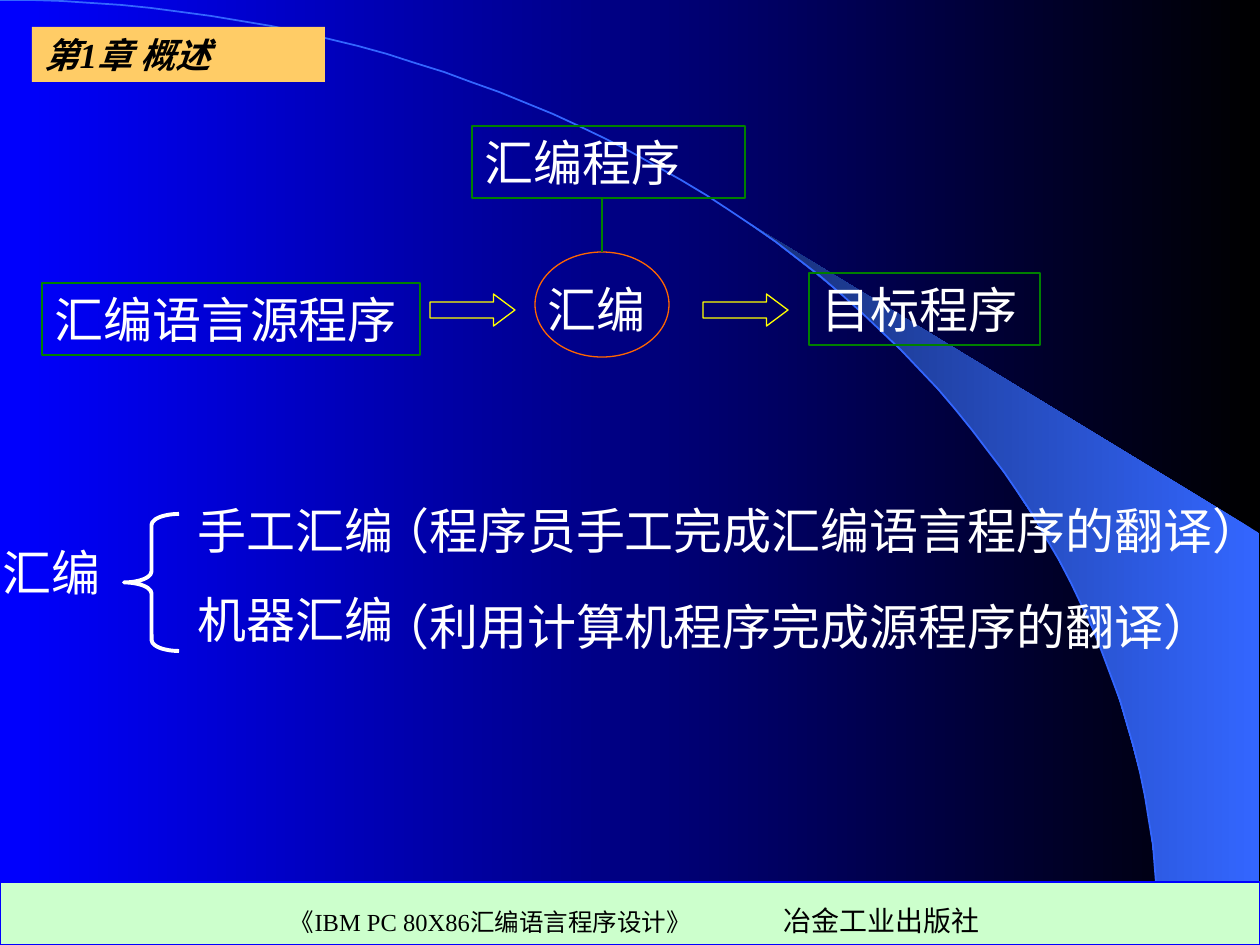
from dataclasses import dataclass
from math import asin, cos, pi, sin

from lxml.etree import SubElement
from pptx import Presentation
from pptx.dml.color import RGBColor
from pptx.enum.shapes import MSO_CONNECTOR, MSO_SHAPE
from pptx.enum.text import MSO_ANCHOR, MSO_AUTO_SIZE, PP_ALIGN
from pptx.oxml.ns import qn
from pptx.util import Emu, Pt

PX = 914400 / 126
COLORS = {
    "night": "000000", "blue": "0000FF", "arc": "3366FF", "arc_dark": "172F75",
    "footer": "CCFFCC", "chapter": "FFCC66", "box": "008000", "arrow": "FFFF00",
    "ring": "FF6600", "ink": "000000", "text": "FFFFFF",
}
FONT = "Times New Roman"
ARC_WIDTH, ARC_HEIGHT = 1159, 944


@dataclass(frozen=True)
class Area:
    left: int
    top: int
    width: int
    height: int

    def emu(self) -> list[Emu]:
        return [px(n) for n in (self.left, self.top, self.width, self.height)]


@dataclass(frozen=True)
class Label:
    area: Area
    lines: tuple[str, ...]


BOXES = [
    Label(Area(42, 283, 378, 72), ("汇编语言源程序",)),
    Label(Area(472, 126, 273, 72), ("汇编程序",)),
    Label(Area(809, 273, 231, 72), ("目标程序",)),
]
CAPTIONS = [
    Label(Area(535, 273, 158, 72), ("汇编",)),
    Label(Area(368, 494, 953, 72), ("（程序员手工完成汇编语言程序的翻译）",)),
    Label(Area(368, 590, 866, 72), ("（利用计算机程序完成源程序的翻译）",)),
    Label(Area(-10, 536, 161, 72), ("汇编",)),
    Label(Area(185, 494, 260, 161), ("手工汇编", "机器汇编")),
]
ARROWS = [Area(430, 294, 85, 32), Area(703, 294, 85, 32)]


def px(length: int) -> Emu:
    return Emu(round(length * PX))


def color(name: str) -> RGBColor:
    return RGBColor.from_string(COLORS[name])


def write(shape, *lines, size=28, ink="text", bold=False, italic=False,
          anchor=MSO_ANCHOR.TOP, gap=17.5):
    """Write one paragraph per line; a line is text or a list of (text, size) runs."""
    frame = shape.text_frame
    frame.word_wrap = True
    frame.auto_size = MSO_AUTO_SIZE.NONE
    frame.vertical_anchor = anchor
    for index, line in enumerate(lines):
        paragraph = frame.add_paragraph() if index else frame.paragraphs[0]
        paragraph.alignment = PP_ALIGN.LEFT
        paragraph.space_before = Pt(gap if index else 0)
        for text, points in [(line, size)] if isinstance(line, str) else line:
            run = paragraph.add_run()
            run.text = text
            font = run.font
            font.name, font.size = FONT, Pt(points)
            font.bold, font.italic = bold, italic
            font.color.rgb = color(ink)


def style(shape, fill=None, line=None, weight=0.75):
    shape.shadow.inherit = False
    if fill:
        shape.fill.solid()
        shape.fill.fore_color.rgb = color(fill)
    else:
        shape.fill.background()
    if line:
        shape.line.color.rgb = color(line)
        shape.line.width = Pt(weight)
    else:
        shape.line.fill.background()


def add_preset(slide, kind: MSO_SHAPE, area: Area, **look):
    shape = slide.shapes.add_shape(kind, *area.emu())
    style(shape, **look)
    return shape


def add_outline(slide, points: list[tuple[float, float]], close: bool):
    builder = slide.shapes.build_freeform(*points[0], scale=PX)
    builder.add_line_segments(points[1:], close=close)
    return builder.convert_to_shape()


def arc_points(start: float, steps: int) -> list[tuple[float, float]]:
    """Points on the quarter ellipse from the start angle down to the footer."""
    angles = [start + (pi / 2 - start) * i / steps for i in range(steps + 1)]
    return [(ARC_WIDTH * sin(a), ARC_HEIGHT * (1 - cos(a))) for a in angles]


def set_gradient(fill, first: str, last: str):
    fill.gradient()
    fill.gradient_angle = 180
    for stop, name in zip(fill.gradient_stops, (first, last)):
        stop.color.rgb = color(name)


def add_backdrop(slide):
    set_gradient(slide.background.fill, "night", "blue")
    swoosh_start = asin(742 / ARC_WIDTH)
    swoosh = add_outline(
        slide, arc_points(swoosh_start, 24) + [(1259, 944), (1259, 533)], True)
    style(swoosh)
    set_gradient(swoosh.fill, "arc", "arc_dark")
    style(add_outline(slide, arc_points(0, 60), False), line="arc", weight=1)


def add_footer(slide):
    footer = add_preset(slide, MSO_SHAPE.RECTANGLE, Area(0, 882, 1260, 63),
                        fill="footer", line="blue")
    frame = footer.text_frame
    frame.margin_left, frame.margin_top = px(290), px(20)
    tabs = SubElement(frame.paragraphs[0]._p.get_or_add_pPr(), qn("a:tabLst"))
    SubElement(tabs, qn("a:tab"), pos=str(px(494)), algn="l")
    write(footer, [("《IBM PC 80X86汇编语言程序设计》\t", 14), ("冶金工业出版社", 16)],
          ink="ink", anchor=MSO_ANCHOR.MIDDLE)


def add_chapter(slide):
    title = slide.shapes.title
    title.left, title.top, title.width, title.height = Area(32, 27, 293, 55).emu()
    title.fill.solid()
    title.fill.fore_color.rgb = color("chapter")
    write(title, "第1章 概述", size=20, ink="ink", bold=True, italic=True)
    title.element.getparent().append(title.element)  # in front of the arc


def add_diagram(slide):
    for box in BOXES:
        shape = add_preset(slide, MSO_SHAPE.RECTANGLE, box.area, line="box")
        write(shape, *box.lines)
    for area in ARROWS:
        arrow = add_preset(slide, MSO_SHAPE.RIGHT_ARROW, area, line="arrow")
        arrow.adjustments[1] = 0.67
    ring = add_preset(slide, MSO_SHAPE.OVAL, Area(535, 252, 134, 105), line="ring")
    link = slide.shapes.add_connector(
        MSO_CONNECTOR.STRAIGHT, px(602), px(199), px(602), px(252))
    link.end_connect(ring, 0)
    link.line.color.rgb = color("box")
    link.line.width = Pt(0.75)
    SubElement(link.element.spPr, qn("a:effectLst"))
    brace = add_preset(slide, MSO_SHAPE.LEFT_BRACE, Area(124, 514, 55, 137),
                       line="text", weight=2.25)
    brace.adjustments[0] = 0.2
    for caption in CAPTIONS:
        write(slide.shapes.add_textbox(*caption.area.emu()), *caption.lines)


def main():
    deck = Presentation()
    deck.slide_width, deck.slide_height = px(1260), px(945)
    slide = deck.slides.add_slide(deck.slide_layouts[5])
    add_backdrop(slide)
    add_footer(slide)
    add_chapter(slide)
    add_diagram(slide)
    deck.save("out.pptx")


if __name__ == "__main__":
    main()
